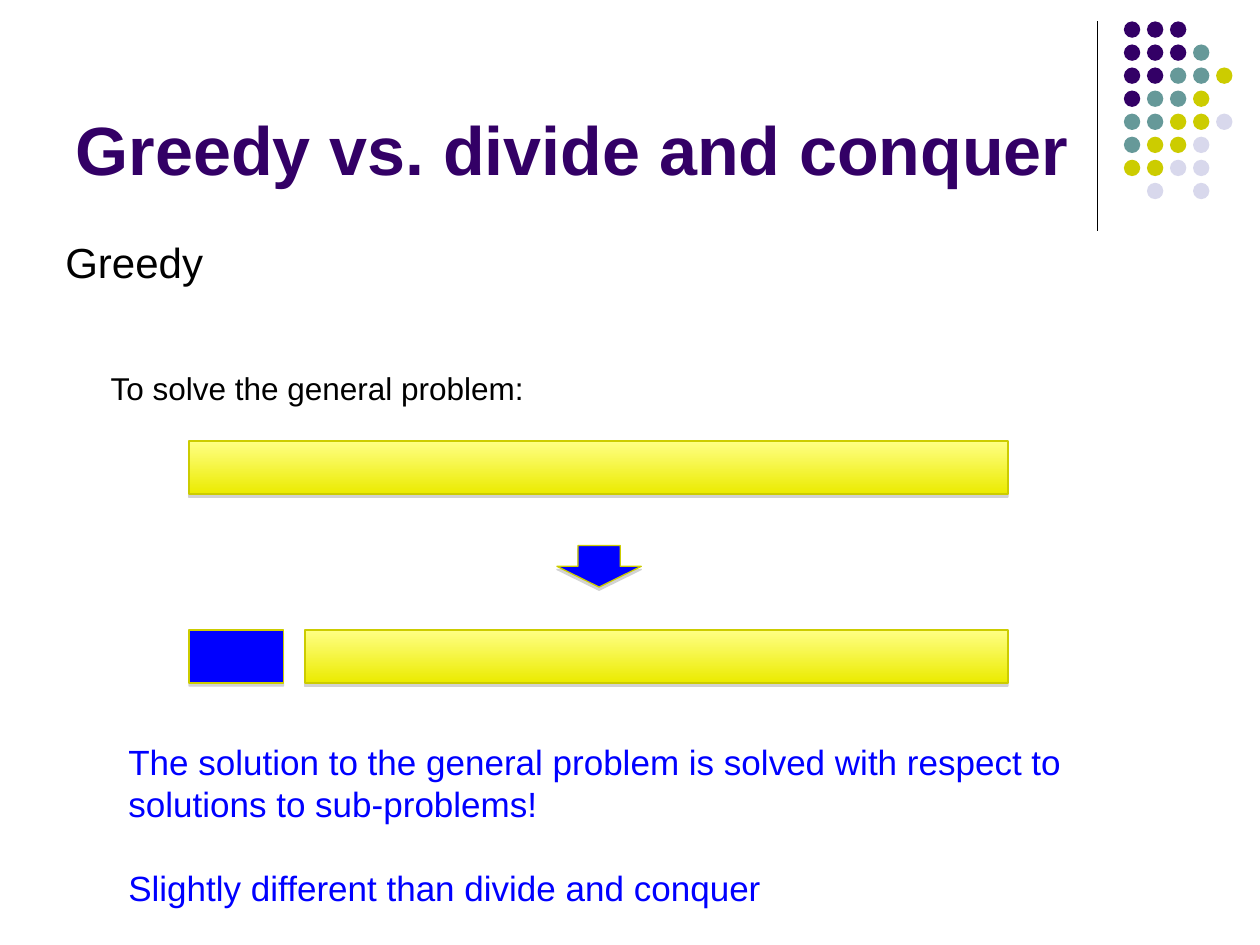
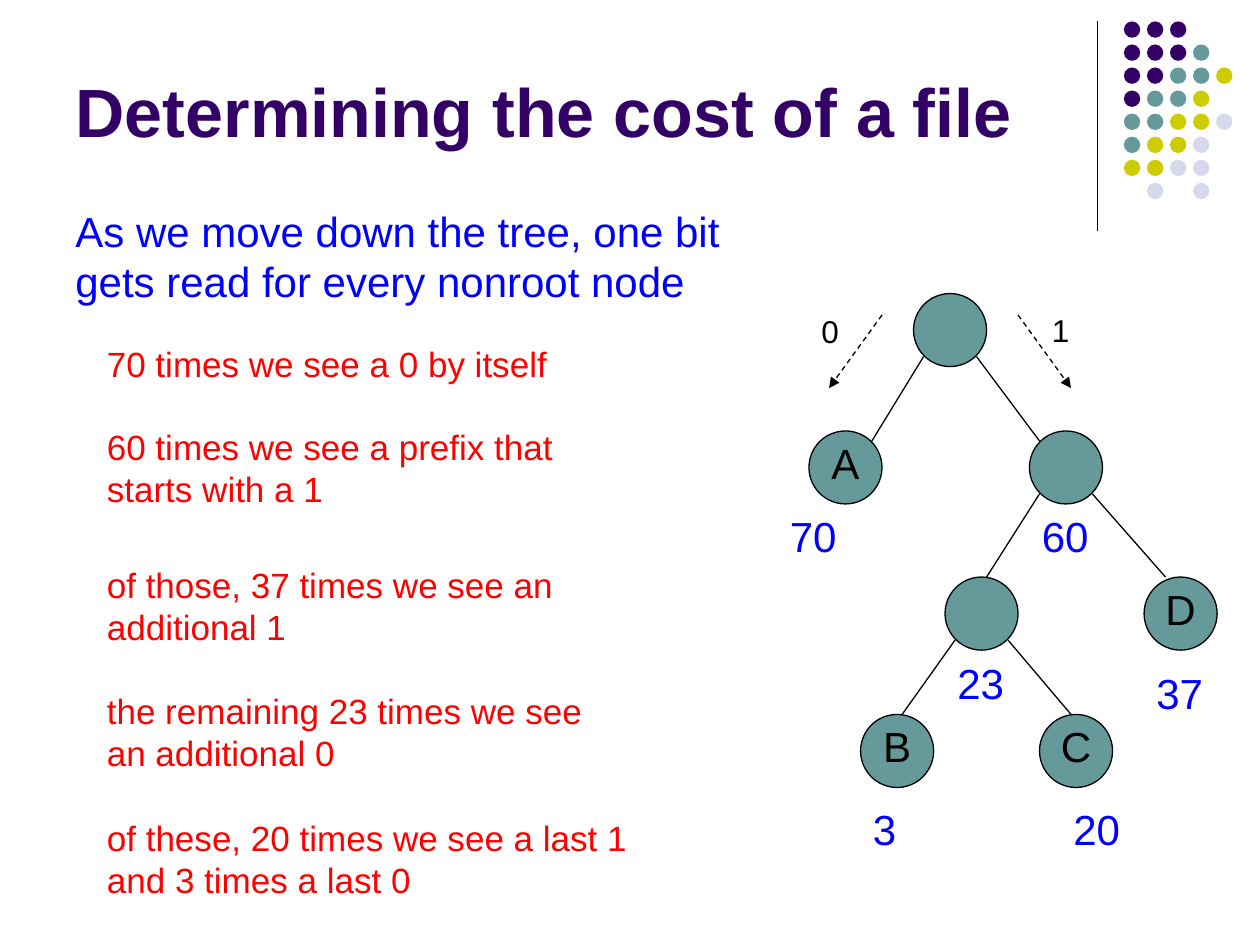
from pptx import Presentation
from pptx import util as u
from pptx.dml.color import RGBColor
from pptx.enum import dml, shapes, text
from pptx.oxml import parse_xml
from pptx.oxml.ns import nsdecls, qn
from lxml import etree

FONT = "Arial"
PURPLE = RGBColor(0x33, 0x00, 0x66)
TEAL = RGBColor(0x66, 0x99, 0x99)
OLIVE = RGBColor(0xCC, 0xCC, 0x00)
LAVENDER = RGBColor(0xD8, 0xD8, 0xEC)
BLACK = RGBColor(0x00, 0x00, 0x00)
BLUE = RGBColor(0x00, 0x00, 0xFF)
RED = RGBColor(0xFF, 0x00, 0x00)
PALE_YELLOW = RGBColor(0xFF, 0xFF, 0x85)
YELLOW = RGBColor(0xEB, 0xEB, 0x00)

DOT_COLORS = {"P": PURPLE, "T": TEAL, "O": OLIVE, "L": LAVENDER}
DOT_ROWS = ["PPP", "PPPT", "PPTTO", "PTTO", "TTOOL", "TOOL", "OOLL", " L L"]
DOT_PITCH = 0.183
DOT_SIZE = 0.13
NODE_SIZE = 0.58
SHADOW = (
    '<a:outerShdw %s blurRad="0" dist="22860" dir="5400000" rotWithShape="0">'
    '<a:srgbClr val="808080"><a:alpha val="35000"/></a:srgbClr></a:outerShdw>'
    % nsdecls("a")
)


def format_text(p, size, color, bold=False):
    for r in p.runs:
        r.font.name = FONT
        r.font.size = u.Pt(size)
        r.font.bold = bold
        r.font.color.rgb = color


def add_text(s, paragraphs, left, top, width, height, size, color, wrap=True):
    tf = s.shapes.add_textbox(*map(u.Inches, (left, top, width, height))).text_frame
    tf.word_wrap = wrap
    tf.text = "\n".join(paragraphs)
    for i, p in enumerate(tf.paragraphs):
        if i:
            p.space_before = u.Pt(24)
        format_text(p, size, color)


def add_shape(s, kind, left, top, width, height, fill, line=None):
    sp = s.shapes.add_shape(kind, *map(u.Inches, (left, top, width, height)))
    sp.shadow.inherit = False
    if fill is not None:
        sp.fill.solid()
        sp.fill.fore_color.rgb = fill
    if line is None:
        sp.line.fill.background()
    else:
        sp.line.color.rgb = line
        sp.line.width = u.Pt(0.75)
    return sp


def add_block(s, kind, left, top, width, height, fill=None):
    sp = add_shape(s, kind, left, top, width, height, fill, OLIVE)
    if fill is None:
        sp.fill.gradient()
        sp.fill.gradient_angle = 270
        for stop, color in zip(sp.fill.gradient_stops, (PALE_YELLOW, YELLOW)):
            stop.color.rgb = color
    effects = sp._element.spPr.find(qn("a:effectLst"))
    effects.append(parse_xml(SHADOW))


def add_line(s, start, end, arrow=False):
    points = map(u.Inches, (*start, *end))
    line = s.shapes.add_connector(shapes.MSO_CONNECTOR.STRAIGHT, *points)
    line.line.color.rgb = BLACK
    line.line.width = u.Pt(0.75)
    if arrow:
        line.line.dash_style = dml.MSO_LINE.DASH
        ln = line.line._get_or_add_ln()
        etree.SubElement(ln, qn("a:tailEnd"), type="triangle")
    etree.SubElement(line._element.spPr, qn("a:effectLst"))


def add_node(s, left, top, label):
    sp = add_shape(s, shapes.MSO_SHAPE.OVAL, left, top, NODE_SIZE, NODE_SIZE, TEAL, BLACK)
    if label:
        tf = sp.text_frame
        tf.margin_left = tf.margin_right = tf.margin_top = 0
        tf.margin_bottom = u.Inches(0.08)
        tf.vertical_anchor = text.MSO_ANCHOR.MIDDLE
        tf.text = label
        p = tf.paragraphs[0]
        p.alignment = text.PP_ALIGN.CENTER
        format_text(p, 24, BLACK)


def add_decoration(s):
    add_line(s, (8.71, 0.17), (8.71, 1.83))
    for row, codes in enumerate(DOT_ROWS):
        for col, code in enumerate(codes):
            if code in DOT_COLORS:
                add_shape(s, shapes.MSO_SHAPE.OVAL, 8.92 + col * DOT_PITCH,
                          0.17 + row * DOT_PITCH, DOT_SIZE, DOT_SIZE, DOT_COLORS[code])


def add_slide(prs, title, top, height):
    s = prs.slides.add_slide(prs.slide_layouts[5])
    add_decoration(s)
    sp = s.shapes.title
    sp.left, sp.top, sp.width, sp.height = map(u.Inches, (0.5, top, 8.25, height))
    tf = sp.text_frame
    tf.text = title
    tf.vertical_anchor = text.MSO_ANCHOR.BOTTOM
    tf.auto_size = text.MSO_AUTO_SIZE.NONE
    p = tf.paragraphs[0]
    p.alignment = text.PP_ALIGN.LEFT
    format_text(p, 39, PURPLE, bold=True)
    return s


def build_greedy(prs):
    s = add_slide(prs, "Greedy vs. divide and conquer", 0.13, 1.42)
    add_text(s, ["Greedy"], 0.42, 1.83, 1.29, 0.5, 24, BLACK, wrap=False)
    add_text(s, ["To solve the general problem:"], 0.78, 2.88, 3.51, 0.4, 18, BLACK, wrap=False)
    rect = shapes.MSO_SHAPE.RECTANGLE
    add_block(s, rect, 1.5, 3.5, 6.5, 0.42)
    add_block(s, rect, 1.5, 5, 0.75, 0.42, BLUE)
    add_block(s, rect, 2.42, 5, 5.58, 0.42)
    add_block(s, shapes.MSO_SHAPE.DOWN_ARROW, 4.42, 4.33, 0.67, 0.33, BLUE)
    add_text(s, [
        "The solution to the general problem is solved with respect to solutions to sub-problems!",
        "Slightly different than divide and conquer",
    ], 0.92, 5.83, 8.08, 1.44, 20, BLUE)


def add_tree(s):
    nodes = {
        "root": (7.25, 2.33, ""),
        "A": (6.42, 3.42, "A"),
        "right": (8.17, 3.42, ""),
        "inner": (7.5, 4.58, ""),
        "B": (6.83, 5.67, "B"),
        "C": (8.25, 5.67, "C"),
        "D": (9.08, 4.58, "D"),
    }
    left_exit, right_exit = 0.08, 0.5
    edges = [
        ("root", left_exit, "A", 0.5, 0.08),
        ("root", right_exit, "right", 0.08, 0.08),
        ("right", left_exit, "inner", 0.33, 0),
        ("right", right_exit, "D", 0.17, 0),
        ("inner", left_exit, "B", 0.33, 0),
        ("inner", right_exit, "C", 0.25, 0),
    ]
    for node in nodes.values():
        add_node(s, *node)
    for parent, exit_x, child, enter_x, enter_y in edges:
        px, py, _ = nodes[parent]
        cx, cy, _ = nodes[child]
        add_line(s, (px + exit_x, py + 0.5), (cx + enter_x, cy + enter_y))

    bits = [("0", 6.42, 2.43, 7, 6.58), ("1", 8.25, 2.42, 8.08, 8.5)]
    for bit, left, top, start_x, end_x in bits:
        add_line(s, (start_x, 2.5), (end_x, 3.08), arrow=True)
        add_text(s, [bit], left, top, 0.42, 0.4, 18, BLACK)

    counts = [("70", 6.17, 4), ("60", 8.17, 4), ("23", 7.5, 5.17),
              ("37", 9.08, 5.25), ("3", 6.83, 6.33), ("20", 8.42, 6.33)]
    for count, left, top in counts:
        add_text(s, [count], left, top, 0.83, 0.5, 24, BLUE)


def build_cost(prs):
    s = add_slide(prs, "Determining the cost of a file", 0.33, 0.92)
    add_tree(s)
    add_text(s, ["As we move down the tree, one bit gets read for every nonroot node"],
             0.5, 1.58, 5.75, 0.9, 24, BLUE)
    steps = [
        ("70 times we see a 0 by itself", 2.67, 4, 0.44),
        ("60 times we see a prefix that starts with a 1", 3.33, 4, 0.77),
        ("of those, 37 times we see an additional 1", 4.42, 4, 0.77),
        ("the remaining 23 times we see an additional 0", 5.42, 4, 0.77),
        ("of these, 20 times we see a last 1 and 3 times a last 0", 6.43, 4.58, 0.77),
    ]
    for step, top, width, height in steps:
        add_text(s, [step], 0.75, top, width, height, 20, RED)


def main():
    prs = Presentation()
    prs.slide_width = u.Inches(10)
    prs.slide_height = u.Inches(7.5)
    build_greedy(prs)
    build_cost(prs)
    prs.save("out.pptx")


if __name__ == "__main__":
    main()
